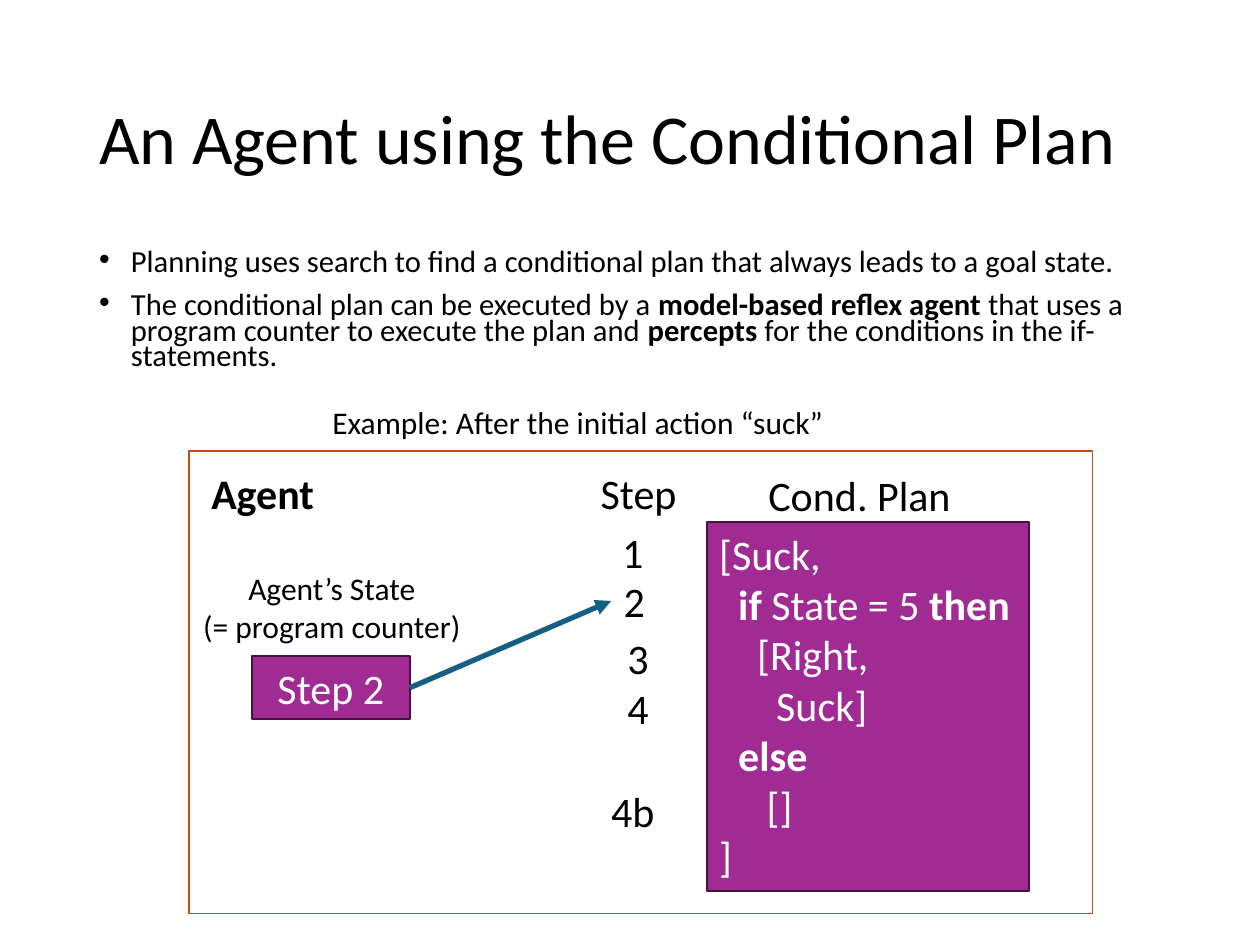
from dataclasses import dataclass

import pptx
from lxml import etree
from pptx import util as u
from pptx.dml import color
from pptx.enum import shapes, text
from pptx.oxml import ns

FONT = "Calibri"
BLACK, WHITE = "000000", "FFFFFF"
PURPLE, PLUM, BLUE, ORANGE = "A02B93", "461340", "156082", "BE4D14"
LEFT, CENTER = text.PP_ALIGN.LEFT, text.PP_ALIGN.CENTER


@dataclass
class Area:
    left: float
    top: float
    width: float
    height: float = 1.27

    def lengths(self) -> list:
        return [u.Cm(n) for n in (self.left, self.top, self.width, self.height)]


@dataclass
class Span:
    words: str
    bold: bool = False


@dataclass
class Label:
    area: Area
    lines: list
    size: float = 24
    align: int = LEFT


@dataclass
class Panel:
    area: Area
    line: str
    weight: float
    fill: str = ""


def rgb(value: str) -> color.RGBColor:
    return color.RGBColor.from_string(value)


def write(box, lines: list, size: float, ink: str = BLACK, align: int = LEFT) -> list:
    frame = box.text_frame
    frame.word_wrap = True
    paras = []
    for index, line in enumerate(lines):
        para = frame.add_paragraph() if index else frame.paragraphs[0]
        para.alignment = align
        for span in line:
            run = para.add_run()
            run.text = span.words
            run.font.name = FONT
            run.font.size = u.Pt(size)
            run.font.bold = span.bold
            run.font.color.rgb = rgb(ink)
        paras.append(para)
    return paras


def draw_label(page, label: Label):
    box = page.shapes.add_textbox(*label.area.lengths())
    write(box, label.lines, label.size, align=label.align)
    return box


def draw_panel(page, panel: Panel):
    box = page.shapes.add_shape(shapes.MSO_SHAPE.RECTANGLE, *panel.area.lengths())
    box.shadow.inherit = False
    if panel.fill:
        box.fill.solid()
        box.fill.fore_color.rgb = rgb(panel.fill)
    else:
        box.fill.background()
    box.line.color.rgb = rgb(panel.line)
    box.line.width = u.Pt(panel.weight)
    return box


def draw_arrow(page, start, end) -> None:
    arrow = page.shapes.add_connector(shapes.MSO_CONNECTOR.STRAIGHT, 0, 0, 0, 0)
    arrow.begin_connect(start, 3)
    arrow.end_connect(end, 1)
    arrow.line.color.rgb = rgb(BLUE)
    arrow.line.width = u.Pt(3)
    etree.SubElement(arrow.line._get_or_add_ln(), ns.qn("a:tailEnd"), type="triangle")
    etree.SubElement(arrow._element.spPr, ns.qn("a:effectLst"))


def add_bullet(para) -> None:
    properties = para._p.get_or_add_pPr()
    indent = u.Cm(0.64)
    properties.set("marL", str(indent))
    properties.set("indent", str(-indent))
    etree.SubElement(properties, ns.qn("a:buFont"), typeface="Arial")
    etree.SubElement(properties, ns.qn("a:buChar"), char="•")


def draw_heading(page) -> None:
    title = page.shapes.add_textbox(*Area(1.75, 1.02, 21.9, 3.68).lengths())
    title.text_frame.vertical_anchor = text.MSO_ANCHOR.MIDDLE
    para = write(title, [[Span("An Agent using the Conditional Plan")]], 40)[0]
    para.line_spacing = 0.9


def draw_points(page) -> None:
    points = [
        [Span("Planning uses search to find a conditional plan that always leads to a goal state.")],
        [
            Span("The conditional plan can be executed by a "),
            Span("model-based reflex agent", True),
            Span(" that uses a program counter to execute the plan and "),
            Span("percepts", True),
            Span(" for the conditions in the if-statements."),
        ],
    ]
    body = page.shapes.add_textbox(*Area(1.75, 4.95, 21.9, 3.07).lengths())
    for index, para in enumerate(write(body, points, 17.5)):
        add_bullet(para)
        para.line_spacing = 0.7
        para.space_before = u.Pt(10 if index else 0)


def draw_example(page) -> None:
    plan_lines = [
        [Span("[Suck,")],
        [Span("  if", True), Span(" State = 5 "), Span("then", True)],
        [Span("    [Right,")],
        [Span("      Suck]")],
        [Span("  else", True)],
        [Span("     []")],
        [Span("]")],
    ]
    plan = draw_panel(page, Panel(Area(14.25, 10.52, 6.5, 7.44), PLUM, 1, PURPLE))
    plan.text_frame.vertical_anchor = text.MSO_ANCHOR.TOP
    write(plan, plan_lines, 24, WHITE)

    counter = draw_panel(page, Panel(Area(5.08, 13.23, 3.18), PLUM, 1, PURPLE))
    write(counter, [[Span("Step 2")]], 24, WHITE, CENTER)

    steps = {
        "1": Area(12.29, 10.49, 1.07),
        "2": Area(12.32, 11.48, 1.07),
        "3": Area(12.4, 12.62, 1.07),
        "4": Area(12.4, 13.64, 1.07),
        "4b": Area(12.07, 15.72, 1.47),
    }
    step_boxes = {
        name: draw_label(page, Label(area, [[Span(name)]]))
        for name, area in steps.items()
    }
    draw_arrow(page, counter, step_boxes["2"])

    draw_panel(page, Panel(Area(3.81, 9.09, 18.21, 9.32), ORANGE, 0.75))
    state_lines = [[Span("Agent’s State")], [Span("(= program counter)")]]
    caption = [[Span("Example: After the initial action “suck”")]]
    for label in (
        Label(Area(11.86, 9.3, 2.54), [[Span("Step")]]),
        Label(Area(15.24, 9.35, 4.45), [[Span("Cond. Plan")]]),
        Label(Area(4.01, 9.3, 3.38), [[Span("Agent", True)]]),
        Label(Area(2.46, 11.35, 8.46, 1.8), state_lines, 18, CENTER),
        Label(Area(6.45, 8.0, 12.7, 1.02), caption, 18),
    ):
        draw_label(page, label)


def main() -> None:
    deck = pptx.Presentation()
    deck.slide_width, deck.slide_height = u.Cm(25.4), u.Cm(19.05)
    page = deck.slides.add_slide(deck.slide_layouts[6])
    draw_heading(page)
    draw_points(page)
    draw_example(page)
    deck.save("out.pptx")


if __name__ == "__main__":
    main()
